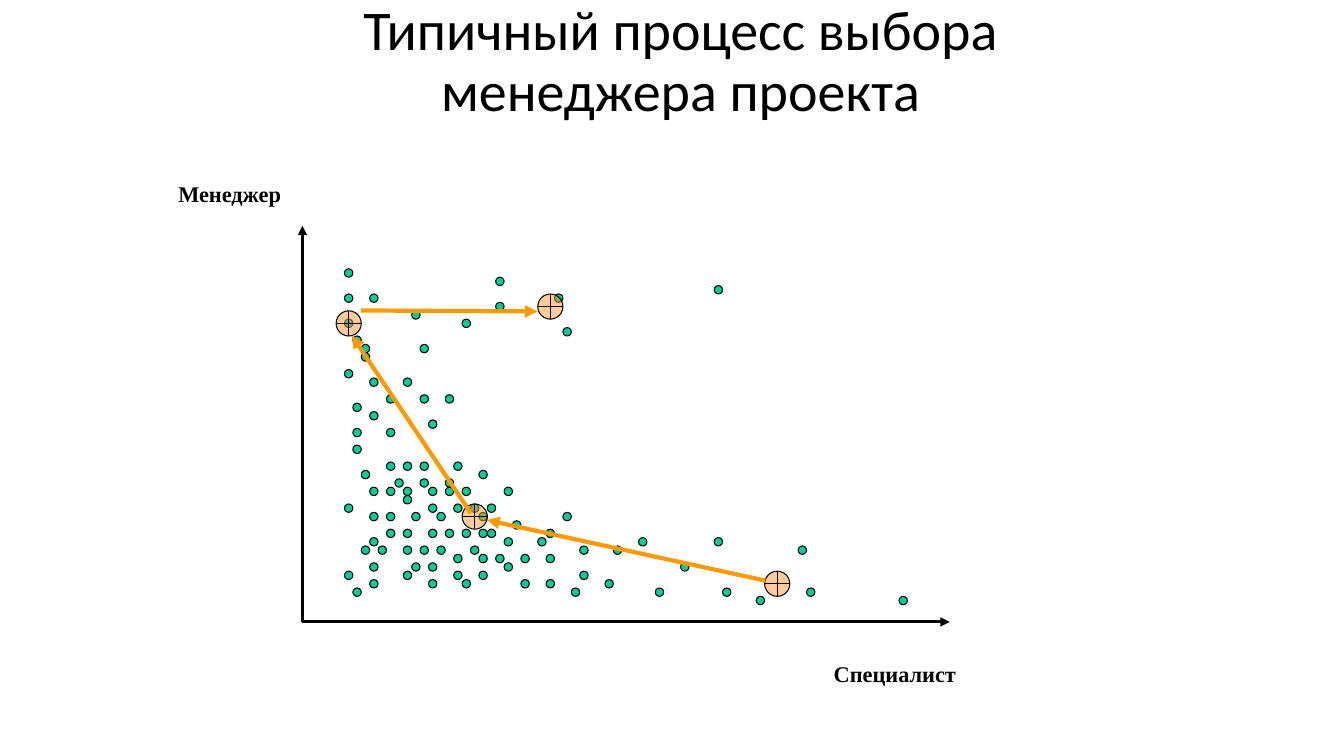
"""Slide with a scatter of specialists and managers and the usual path of choosing a project manager."""
from pptx import Presentation
from pptx.dml.color import RGBColor
from pptx.enum.shapes import MSO_CONNECTOR, MSO_SHAPE
from pptx.enum.text import MSO_ANCHOR, PP_ALIGN
from pptx.oxml.ns import qn
from pptx.util import Inches, Pt
from lxml.etree import SubElement

COLORS = {"ink": "000000", "dot": "00CC99", "stop": "FF9933", "arrow": "FF9900"}
GRID = 12

prs = Presentation()
prs.slide_width, prs.slide_height = Inches(13.33), Inches(7.5)
s = prs.slides.add_slide(prs.slide_layouts[6])


def add_marker(kind, x, y, size, color):
    sp = s.shapes.add_shape(kind, Inches(x), Inches(y), Inches(size), Inches(size))
    sp.shadow.inherit = False
    sp.fill.solid()
    sp.fill.fore_color.rgb = RGBColor.from_string(COLORS[color])
    sp.line.color.rgb = RGBColor.from_string(COLORS["ink"])
    sp.line.width = Pt(0.75)
    return sp


def add_arrow(x1, y1, x2, y2, color, width):
    c = s.shapes.add_connector(MSO_CONNECTOR.STRAIGHT, Inches(x1), Inches(y1), Inches(x2), Inches(y2))
    c.line.color.rgb = RGBColor.from_string(COLORS[color])
    c.line.width = Pt(width)
    SubElement(c.line._get_or_add_ln(), qn("a:tailEnd"), type="triangle")
    SubElement(c._element.spPr, qn("a:effectLst"))


texts = [
    ("Типичный процесс выбора менеджера проекта", 2.5, 0, 8.5, 1.25, "Calibri", 40, False),
    ("Менеджер", 1.67, 1.74, 1.33, 0.37, "Times New Roman", 16, True),
    ("Специалист", 8.17, 6.5, 1.92, 0.37, "Times New Roman", 16, True),
]
for text, x, y, w, h, font, size, is_label in texts:
    tf = s.shapes.add_textbox(Inches(x), Inches(y), Inches(w), Inches(h)).text_frame
    tf.word_wrap = True
    tf.vertical_anchor = MSO_ANCHOR.TOP if is_label else MSO_ANCHOR.MIDDLE
    p = tf.paragraphs[0]
    if is_label:
        p.space_before = Pt(10)
    else:
        p.alignment = PP_ALIGN.CENTER
        p.line_spacing = 0.9
    r = p.add_run()
    r.text = text
    r.font.name = font
    r.font.size = Pt(size)
    r.font.bold = is_label
    r.font.color.rgb = RGBColor.from_string(COLORS["ink"])

for x, y in [(3, 2.24), (9.42, 6.17)]:
    add_arrow(3, 6.17, x, y, "ink", 2.25)

dot_rows = {
    32: [41],
    33: [59],
    34: [85],
    35: [41, 44, 66],
    36: [59],
    37: [49],
    38: [41, 55],
    39: [67],
    40: [42],
    41: [43, 50],
    42: [43],
    44: [41],
    45: [44, 48],
    47: [46, 50, 53],
    48: [42],
    49: [44],
    50: [51],
    51: [42, 46],
    53: [42],
    55: [46, 48, 50, 54],
    56: [43, 57],
    57: [47, 50, 53],
    58: [44, 46, 48, 51, 53, 55, 60],
    59: [48],
    60: [41, 51, 54, 56, 58],
    61: [44, 46, 49, 52, 57, 67],
    62: [61],
    63: [46, 48, 51, 53, 55, 57, 58, 65],
    64: [44, 60, 64, 76, 85],
    65: [43, 45, 48, 50, 52, 56, 69, 73, 95],
    66: [54, 57, 59, 62, 65],
    67: [44, 49, 51, 60, 81],
    68: [41, 48, 54, 57, 69],
    69: [44, 51, 55, 62, 65, 72],
    70: [42, 68, 78, 86, 96],
    71: [90, 107],
}
for row, columns in dot_rows.items():
    for column in columns:
        add_marker(MSO_SHAPE.OVAL, column / GRID, row / GRID, 1 / GRID, "dot")

for column, row in [(91, 68), (55, 60), (40, 37), (64, 35)]:
    sp = add_marker(MSO_SHAPE.FLOWCHART_OR, column / GRID, row / GRID, 3 / GRID, "stop")
    color = sp._element.spPr.find(qn("a:solidFill")).find(qn("a:srgbClr"))
    SubElement(color, qn("a:alpha"), val="50000")

path_steps = [(7.59, 5.76, 4.83, 5.16), (4.67, 5.09, 3.49, 3.33), (3.58, 3.08, 5.33, 3.09)]
for x1, y1, x2, y2 in path_steps:
    add_arrow(x1, y1, x2, y2, "arrow", 3)

prs.save("out.pptx")
